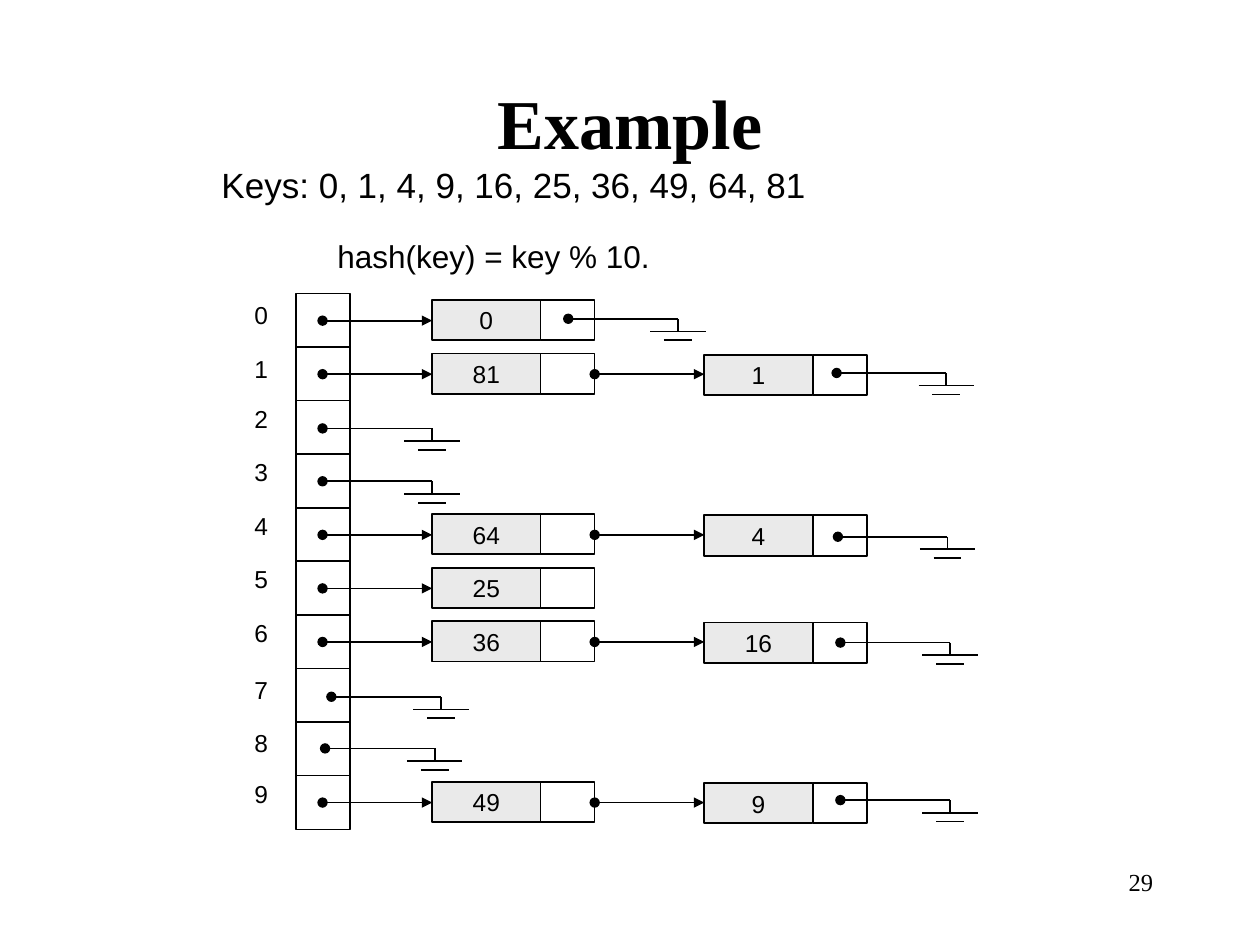
"""Build a slide showing a hash table with separate chaining."""
from lxml import etree
from pptx import Presentation
from pptx.dml.color import RGBColor
from pptx.enum.shapes import MSO_CONNECTOR, MSO_SHAPE
from pptx.enum.text import MSO_ANCHOR, PP_ALIGN
from pptx.oxml.ns import qn
from pptx.util import Inches, Pt

theme = {
    "ink": RGBColor(0, 0, 0), "paper": RGBColor(255, 255, 255),
    "key": RGBColor(0xEA, 0xEA, 0xEA), "line": Pt(1),
    "sans": "Arial", "serif": "Times New Roman",
    "title": Pt(40), "lead": Pt(20), "hash": Pt(18), "small": Pt(14),
}

deck = Presentation()
deck.slide_width, deck.slide_height = Inches(10), Inches(7.5)
slide = deck.slides.add_slide(deck.slide_layouts[6])
shapes = slide.shapes


def write(shape, text, size="small", face="sans", align=PP_ALIGN.LEFT,
          anchor=MSO_ANCHOR.TOP, wrap=True, bold=False):
    frame = shape.text_frame
    frame.word_wrap, frame.vertical_anchor = wrap, anchor
    para = frame.paragraphs[0]
    para.text, para.alignment = text, align
    look = {"name": theme[face], "size": theme[size], "bold": bold}
    for name, value in look.items():
        setattr(para.font, name, value)
    para.font.color.rgb = theme["ink"]
    return frame


def draw(x1, y1, x2, y2, head=None, tail=None):
    line = shapes.add_connector(
        MSO_CONNECTOR.STRAIGHT, *map(Inches, (x1, y1, x2, y2)))
    line.line.color.rgb, line.line.width = theme["ink"], theme["line"]
    pen = line.line._get_or_add_ln()
    for tag, kind in (("a:headEnd", head), ("a:tailEnd", tail)):
        if kind:
            etree.SubElement(pen, qn(tag), type=kind)
    etree.SubElement(line._element.spPr, qn("a:effectLst"))


page = shapes.add_textbox(*map(Inches, (7.17, 6.83, 2.08, 0.5)))
write(page, "29", face="serif", align=PP_ALIGN.RIGHT)
title = shapes.add_textbox(*map(Inches, (0.75, 0.5, 8.5, 0.83)))
frame = write(title, "Example", "title", "serif", PP_ALIGN.CENTER,
              MSO_ANCHOR.MIDDLE, bold=True)
frame.margin_top, frame.margin_bottom = Inches(0.1), 0

top, pitch, side = 2.33, 0.425, 0.43
left, mid = 2.35, 2.56
wide, high = 0.86, 0.32
nodes = (3.43, 5.59)
chains = {0: [0], 1: [81, 1], 4: [64, 4], 5: [25], 6: [36, 16], 9: [49, 9]}
labels = (2.33, 2.76, 3.16, 3.58, 4.01, 4.43, 4.86, 5.31, 5.73, 6.13)

for row, y in enumerate(labels):
    label = shapes.add_textbox(*map(Inches, (1.92, y, 0.31, 0.34)))
    write(label, str(row), wrap=False)

boxes = [(left, top + row * pitch, side, side, "paper", "")
         for row in range(len(labels))]
for row, keys in chains.items():
    for col, key in enumerate(keys):
        x, y = nodes[col], top + 0.05 + row * pitch + col * 0.01
        boxes.append((x, y, wide, high, "key", str(key)))
        boxes.append((x + wide, y, side, high, "paper", ""))

for x, y, w, h, fill, text in boxes:
    box = shapes.add_shape(MSO_SHAPE.RECTANGLE, *map(Inches, (x, y, w, h)))
    box.shadow.inherit = False
    box.fill.solid()
    box.fill.fore_color.rgb = theme[fill]
    box.line.color.rgb, box.line.width = theme["ink"], theme["line"]
    if text:
        write(box, text, align=PP_ALIGN.CENTER, anchor=MSO_ANCHOR.MIDDLE,
              wrap=False)

starts = (mid, nodes[0] + wide + side)
for row, keys in chains.items():
    y = top + side / 2 + row * pitch
    for x, end in zip(starts, nodes[:len(keys)]):
        draw(x, y, end, y, "oval", "triangle")

grounds = ((mid, 3.4), (mid, 3.82), (2.63, 5.53), (2.58, 5.94), (4.51, 2.53),
           (6.64, 2.96), (6.65, 4.26), (6.67, 5.1), (6.67, 6.35))
for x, y in grounds:
    stem = x + 0.87
    draw(x, y, stem, y, "oval")
    draw(stem, y, stem, y + 0.1)
    for half, drop in ((0.22, 0.1), (0.11, 0.17)):
        draw(stem - half, y + drop, stem + half, y + drop)

lead = shapes.add_textbox(*map(Inches, (1.66, 1.25, 6.34, 0.44)))
write(lead, "Keys: 0, 1, 4, 9, 16, 25, 36, 49, 64, 81", "lead")
rule = shapes.add_textbox(*map(Inches, (2.58, 1.83, 2.75, 0.4)))
write(rule, "hash(key) = key % 10.", "hash")

deck.save("out.pptx")
